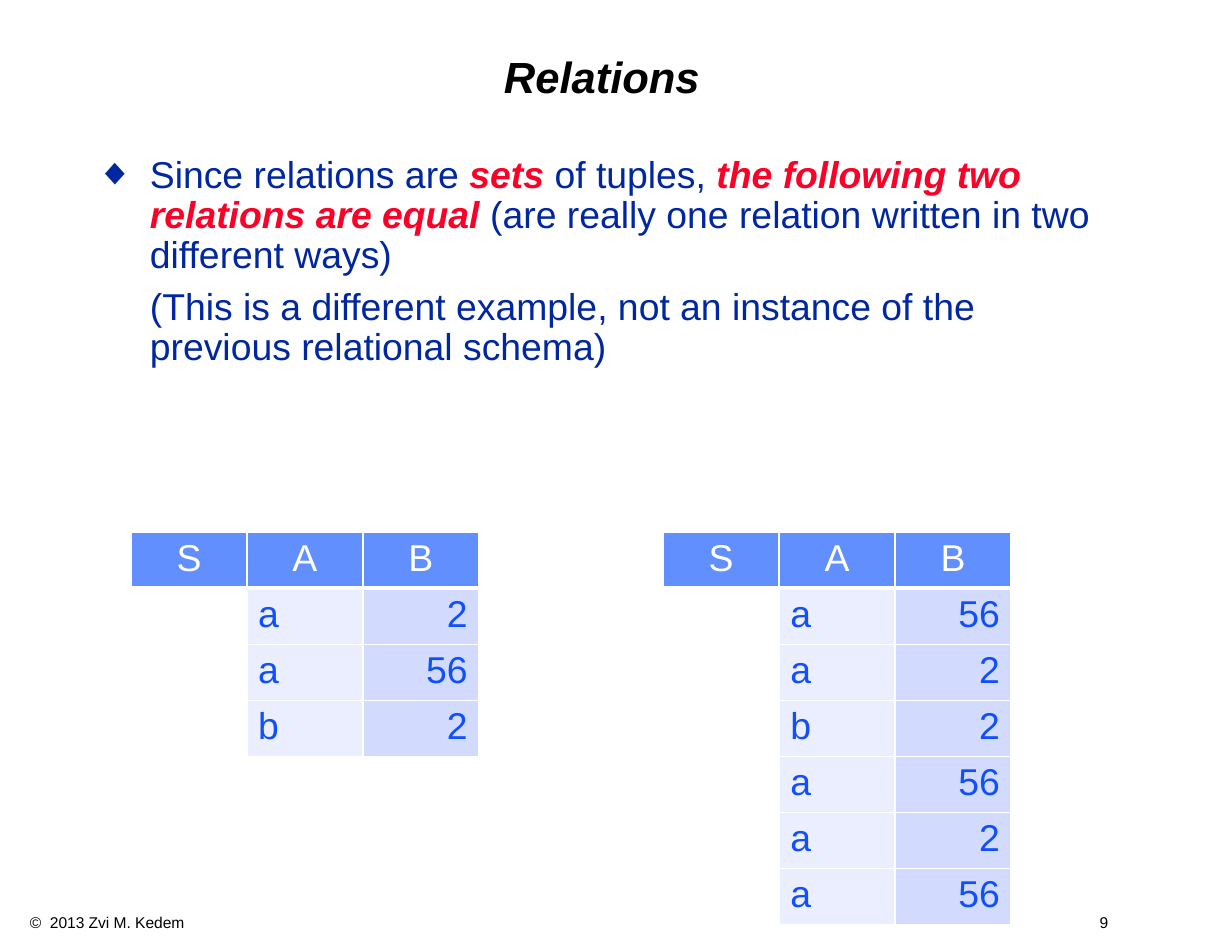
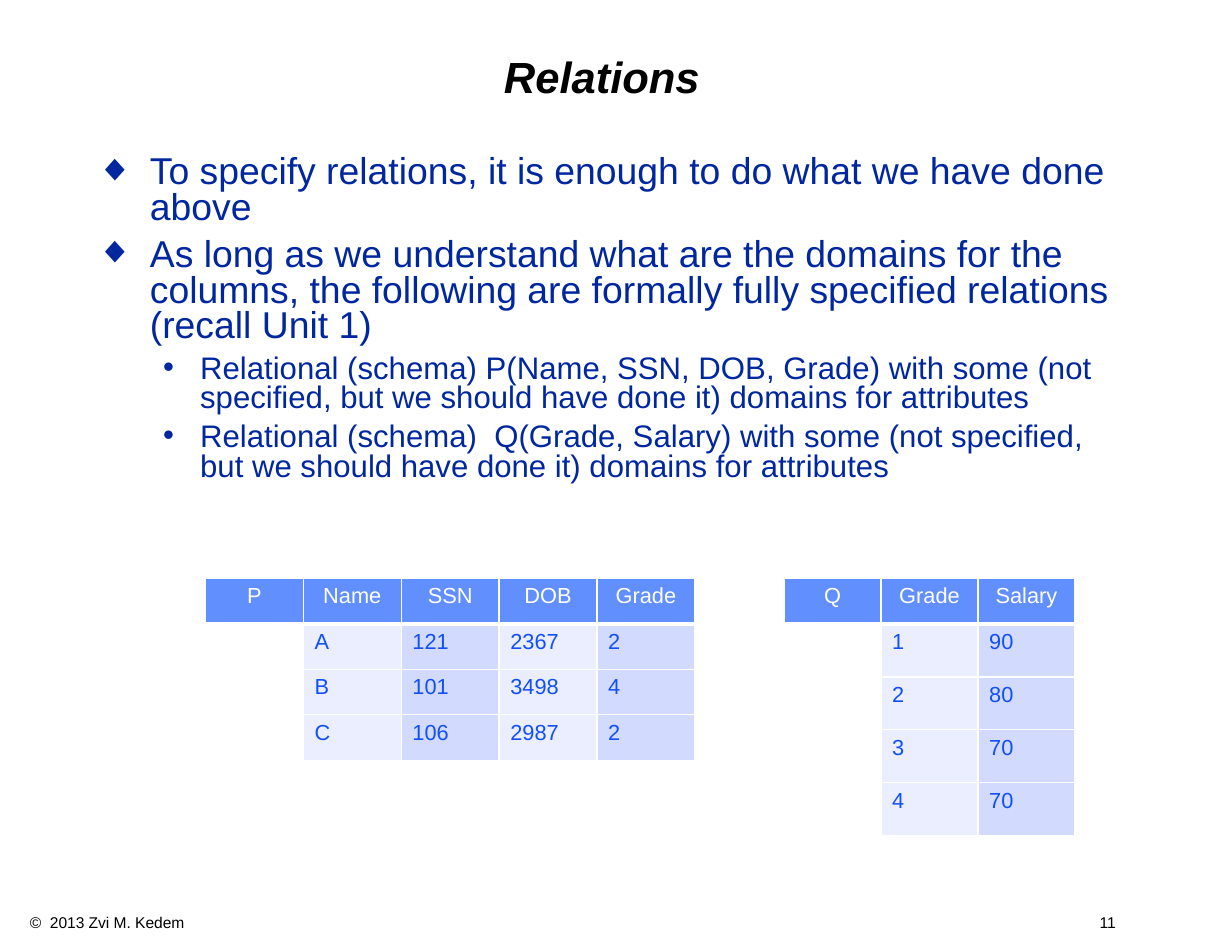
from lxml import etree
from pptx import Presentation
from pptx.dml.color import RGBColor
from pptx.enum.text import MSO_ANCHOR, PP_ALIGN
from pptx.oxml.ns import qn
from pptx.util import Cm, Pt

LEFT, CENTER, RIGHT = PP_ALIGN.LEFT, PP_ALIGN.CENTER, PP_ALIGN.RIGHT
MIDDLE = MSO_ANCHOR.MIDDLE

FONT = "Arial"
BLACK, WHITE = "000000", "FFFFFF"
NAVY, RED, BLUE = "00279F", "FC0128", "114FFB"
HEADER_FILL = "618FFD"
COLUMN_FILLS = ["D2DBFE", "EAEEFF"]  # even and odd columns

# Boxes are left, top, width, height in cm
TITLE_BOX = (1.9, 0.64, 23.5, 2.33)
BODY_BOX = (1.9, 3.39, 23.7, 16.93)
FOOTER_BOX = (0.43, 20.57, 26.26, 0.69)
PAGE_NUMBER_TAB = 24.26

# Bullet, size, left margin and hanging indent in cm, by kind of paragraph
LEVELS = {
    "main": ("◆", 24, 1.22, 1.22),
    "plain": (None, 24, 1.22, 0),
    "sub": ("•", 20, 2.36, 0.84),
}


def rgb(color):
    return RGBColor.from_string(color)


def style(font, size, color, strong=False):
    font.name = FONT
    font.size = Pt(size)
    font.color.rgb = rgb(color)
    font.bold = font.italic = strong


def add_text_box(s, box, inset=(0.25, 0.13)):
    tf = s.shapes.add_textbox(*map(Cm, box)).text_frame
    tf.word_wrap = True
    tf.margin_left = tf.margin_right = Cm(inset[0])
    tf.margin_top = tf.margin_bottom = Cm(inset[1])
    return tf


def add_title(s, box, text):
    tf = add_text_box(s, box, (0.28, 0.15))
    tf.vertical_anchor = MIDDLE
    tf.text = text
    p = tf.paragraphs[0]
    p.alignment = CENTER
    p.line_spacing = 0.9
    style(p.runs[0].font, 28, BLACK, True)


def add_footer(s, box, number):
    tf = add_text_box(s, box)
    p = tf.paragraphs[0]
    tabs = etree.SubElement(p._p.get_or_add_pPr(), qn("a:tabLst"))
    etree.SubElement(tabs, qn("a:tab"), pos=str(Cm(PAGE_NUMBER_TAB)), algn="l")
    p.text = f"©  2013 Zvi M. Kedem\t{number}"
    for r in p.runs:
        style(r.font, 10, BLACK)


def set_bullet(p, char, margin, hanging):
    pPr = p._p.get_or_add_pPr()
    pPr.set("marL", str(Cm(margin)))
    pPr.set("indent", str(-Cm(hanging)))
    if char is None:
        etree.SubElement(pPr, qn("a:buNone"))
        return
    color = etree.SubElement(pPr, qn("a:buClr"))
    etree.SubElement(color, qn("a:srgbClr"), val=NAVY)
    etree.SubElement(pPr, qn("a:buFont"), typeface=FONT)
    etree.SubElement(pPr, qn("a:buChar"), char=char)


def add_body(s, box, paragraphs, line_spacing):
    """Each paragraph is a level and its text, where *...* marks emphasis."""
    tf = add_text_box(s, box, (0.28, 0.15))
    for i, (level, text) in enumerate(paragraphs):
        p = tf.add_paragraph() if i else tf.paragraphs[0]
        char, size, margin, hanging = LEVELS[level]
        set_bullet(p, char, margin, hanging)
        p.line_spacing = line_spacing
        p.space_before = Pt(0.29 * size if i else 0)
        for j, part in enumerate(text.split("*")):
            r = p.add_run()
            r.text = part
            strong = j % 2 == 1
            style(r.font, size, RED if strong else NAVY, strong)


def set_borders(cell, row):
    widths = {"L": 1, "R": 1, "T": 3 if row == 1 else 1, "B": 3 if row == 0 else 1}
    tcPr = cell._tc.get_or_add_tcPr()
    for side, width in widths.items():
        ln = etree.SubElement(tcPr, qn(f"a:ln{side}"), w=str(Pt(width)))
        fill = etree.SubElement(ln, qn("a:solidFill"))
        etree.SubElement(fill, qn("a:srgbClr"), val=WHITE)


def add_relation(s, left, top, header, rows, col_width, heights, size, aligns):
    """Table whose first column holds only the relation's name, in the header.

    heights gives the header's height and that of the other rows.
    """
    data = [header] + [[""] + row for row in rows]
    row_heights = [heights[0]] + [heights[1]] * len(rows)
    table = s.shapes.add_table(
        len(data), len(header), Cm(left), Cm(top),
        Cm(col_width * len(header)), Cm(sum(row_heights))).table
    table.first_row = table.horz_banding = False
    for col in table.columns:
        col.width = Cm(col_width)
    for i, values in enumerate(data):
        table.rows[i].height = Cm(row_heights[i])
        for j, value in enumerate(values):
            cell = table.cell(i, j)
            set_borders(cell, i)
            cell.fill.solid()
            body_fill = COLUMN_FILLS[j % 2] if j else WHITE
            cell.fill.fore_color.rgb = rgb(body_fill if i else HEADER_FILL)
            if value:
                cell.text = value
                p = cell.text_frame.paragraphs[0]
                p.alignment = aligns[j - 1] if i else CENTER
                style(p.runs[0].font, size, BLUE if i else WHITE)


def add_relations_slide(prs, number, paragraphs, line_spacing, relations):
    s = prs.slides.add_slide(prs.slide_layouts[6])
    add_footer(s, FOOTER_BOX, number)
    add_title(s, TITLE_BOX, "Relations")
    add_body(s, BODY_BOX, paragraphs, line_spacing)
    for relation in relations:
        add_relation(s, *relation)


def main():
    prs = Presentation()
    prs.slide_width, prs.slide_height = Cm(27.94), Cm(21.59)

    header = ["S", "A", "B"]
    look = (2.63, (1.2, 1.2), 24, [LEFT, RIGHT])
    tuples = [["a", "2"], ["a", "56"], ["b", "2"]]
    repeated = [["a", "56"], ["a", "2"], ["b", "2"],
                ["a", "56"], ["a", "2"], ["a", "56"]]
    add_relations_slide(prs, 9, [
        ("main", "Since relations are *sets* of tuples, *the following two "
                 "relations are equal* (are really one relation written in "
                 "two different ways)"),
        ("plain", "(This is a different example, not an instance of the "
                  "previous relational schema)"),
    ], 0.9, [
        (2.97, 12.07, header, tuples, *look),
        (15.04, 12.07, header, repeated, *look),
    ])

    people = [["A", "121", "2367", "2"],
              ["B", "101", "3498", "4"],
              ["C", "106", "2987", "2"]]
    salaries = [["1", "90"], ["2", "80"], ["3", "70"], ["4", "70"]]
    add_relations_slide(prs, 11, [
        ("main", "To specify relations, it is enough to do what we have done above"),
        ("main", "As long as we understand what are the domains for the "
                 "columns, the following are formally fully specified "
                 "relations (recall Unit 1)"),
        ("sub", "Relational (schema) P(Name, SSN, DOB, Grade) with some (not "
                "specified, but we should have done it) domains for attributes"),
        ("sub", "Relational (schema)  Q(Grade, Salary) with some (not "
                "specified, but we should have done it) domains for attributes"),
    ], 0.8, [
        (4.66, 13.12, ["P", "Name", "SSN", "DOB", "Grade"], people,
         2.22, (1.03, 1.03), 14, [LEFT] * 4),
        (17.78, 13.12, ["Q", "Grade", "Salary"], salaries,
         2.2, (1.03, 1.2), 14, [LEFT] * 2),
    ])
    prs.save("out.pptx")


if __name__ == "__main__":
    main()
